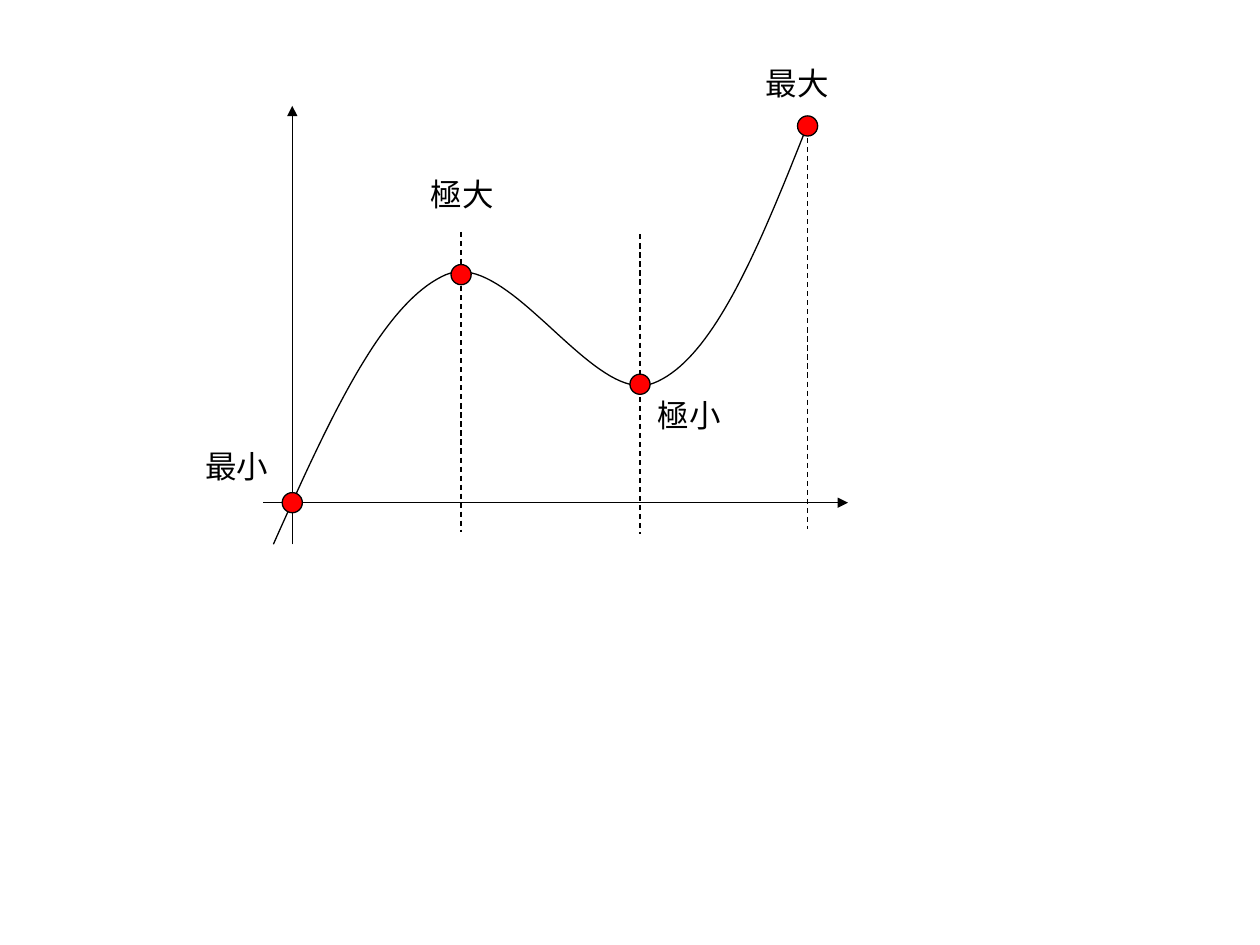
from pptx import Presentation
from pptx import util as u
from pptx.dml.color import RGBColor
from pptx.enum import dml, shapes, text
from pptx.oxml.ns import qn
from lxml import etree

COLORS = {"ink": "000000", "point": "FF0000"}
FONT = "Calibri"
DOT_SIZE = 0.16
LABEL_SIZE = (0.71, 0.4)
STEPS_PER_BEND = 40

CURVE_START = (2.17, 4.32)
# Each bend: two control points and an end point of a cubic Bezier
CURVE_BENDS = [
    ((2.6, 3.36), (3.03, 2.4), (3.54, 2.18)),
    ((4.04, 1.97), (4.72, 3.24), (5.19, 3.04)),
    ((5.67, 2.85), (6.04, 1.92), (6.41, 0.99)),
]
AXES = [((2.09, 3.99), (6.73, 3.99)), ((2.32, 4.32), (2.32, 0.84))]
# Name, centre of the point, top left of its label, ends of its dashed guide
EXTREMA = [
    ("最小", (2.32, 3.99), (1.53, 3.5), None),
    ("極大", (3.66, 2.18), (3.32, 1.34), (1.84, 4.22)),
    ("極小", (5.08, 3.05), (5.12, 3.09), (1.86, 4.24)),
    ("最大", (6.41, 1.0), (5.98, 0.46), (0.95, 4.2)),
]


def color(name):
    return RGBColor.from_string(COLORS[name])


def style_line(line):
    line.color.rgb = color("ink")
    line.width = u.Pt(0.75)


def bezier(t, *points):
    """Point at t on the cubic Bezier through four control points."""
    weights = ((1 - t) ** 3, 3 * t * (1 - t) ** 2, 3 * t**2 * (1 - t), t**3)
    return tuple(
        u.Inches(sum(w * p[axis] for w, p in zip(weights, points)))
        for axis in (0, 1)
    )


def add_curve(slide):
    outline = []
    start = CURVE_START
    for bend in CURVE_BENDS:
        outline += [bezier(i / STEPS_PER_BEND, start, *bend)
                    for i in range(1, STEPS_PER_BEND + 1)]
        start = bend[-1]
    builder = slide.shapes.build_freeform(*map(u.Inches, CURVE_START))
    builder.add_line_segments(outline, close=False)
    curve = builder.convert_to_shape()
    curve.shadow.inherit = False
    curve.fill.background()
    style_line(curve.line)


def add_line(slide, start, end):
    connector = slide.shapes.add_connector(
        shapes.MSO_CONNECTOR.STRAIGHT, *map(u.Inches, start + end))
    style_line(connector.line)
    etree.SubElement(connector._element.spPr, qn("a:effectLst"))
    return connector.line


def add_axis(slide, start, end):
    line = add_line(slide, start, end)
    etree.SubElement(line._get_or_add_ln(), qn("a:tailEnd"), type="triangle")


def add_guide(slide, x, top, bottom):
    line = add_line(slide, (x, top), (x, bottom))
    line.dash_style = dml.MSO_LINE.DASH


def add_point(slide, x, y):
    point = slide.shapes.add_shape(
        shapes.MSO_SHAPE.OVAL, u.Inches(x - DOT_SIZE / 2),
        u.Inches(y - DOT_SIZE / 2), u.Inches(DOT_SIZE), u.Inches(DOT_SIZE))
    point.shadow.inherit = False
    point.fill.solid()
    point.fill.fore_color.rgb = color("point")
    style_line(point.line)


def add_label(slide, name, corner):
    label = slide.shapes.add_textbox(*map(u.Inches, corner + LABEL_SIZE))
    frame = label.text_frame
    frame.word_wrap = False
    frame.auto_size = text.MSO_AUTO_SIZE.SHAPE_TO_FIT_TEXT
    paragraph = frame.paragraphs[0]
    paragraph.text = name
    paragraph.font.name = FONT
    paragraph.font.size = u.Pt(18)
    paragraph.font.color.rgb = color("ink")


def main():
    presentation = Presentation()
    presentation.slide_width = u.Inches(10)
    presentation.slide_height = u.Inches(7.5)
    slide = presentation.slides.add_slide(presentation.slide_layouts[6])

    add_curve(slide)
    for start, end in AXES:
        add_axis(slide, start, end)
    for name, center, corner, guide in EXTREMA:
        if guide:
            add_guide(slide, center[0], *guide)
        add_point(slide, *center)
        add_label(slide, name, corner)

    presentation.save("out.pptx")


if __name__ == "__main__":
    main()
